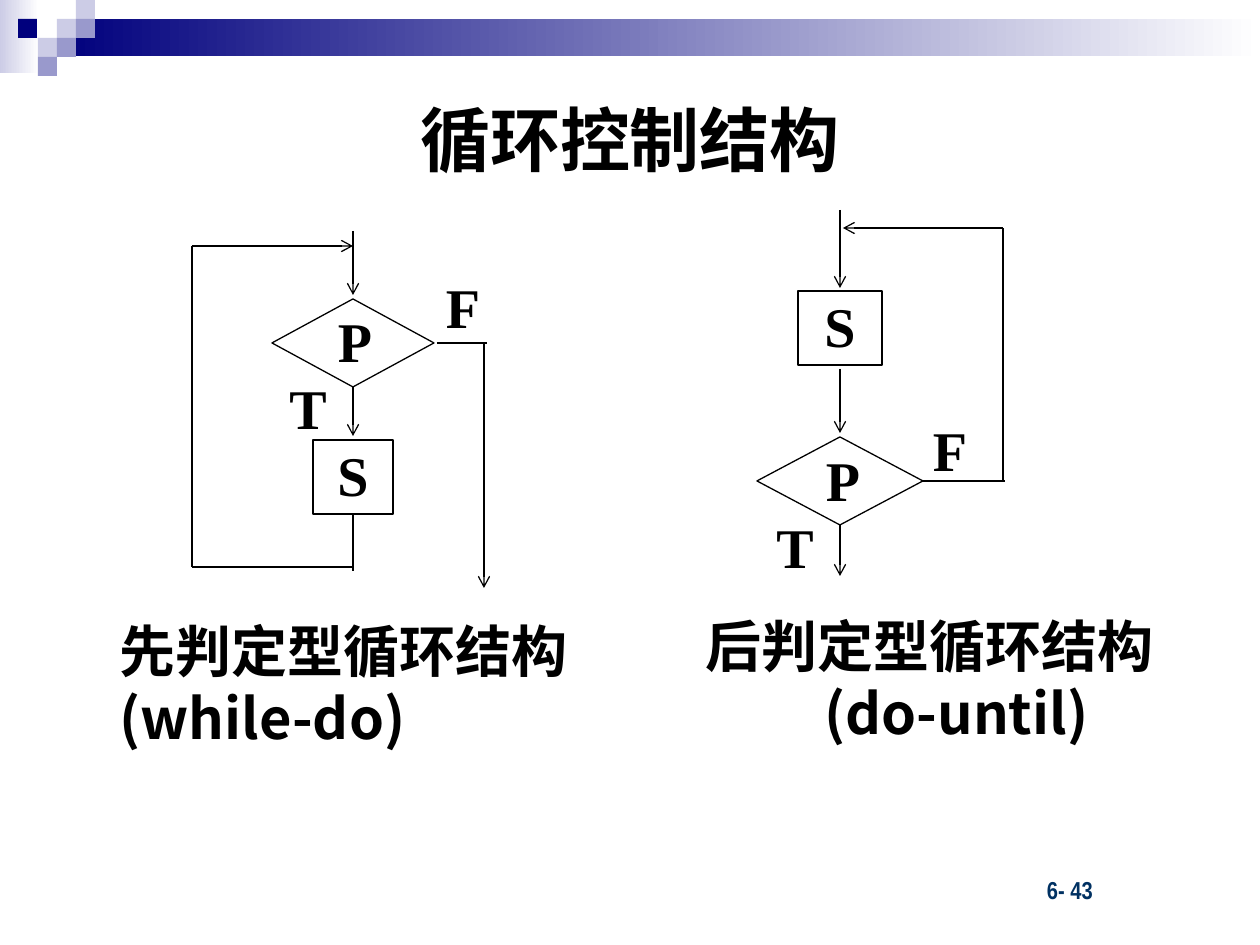
from dataclasses import dataclass
from typing import Optional

from lxml.etree import SubElement
from pptx import Presentation
from pptx.dml.color import RGBColor
from pptx.enum.shapes import MSO_CONNECTOR as Link, MSO_SHAPE as Preset
from pptx.enum.text import MSO_ANCHOR as Anchor, PP_ALIGN as Align
from pptx.oxml.ns import qn
from pptx.util import Emu, Pt

PX_PER_INCH = 126
BLACK = RGBColor(0x00, 0x00, 0x00)
WHITE = RGBColor(0xFF, 0xFF, 0xFF)
NAVY = RGBColor(0x00, 0x00, 0x7D)
LILAC = RGBColor(0xCC, 0xCC, 0xE6)
VIOLET = RGBColor(0x99, 0x99, 0xCC)
PAGE_BLUE = RGBColor(0x00, 0x31, 0x62)
CJK = "Noto Sans CJK SC"
SERIF = "Times New Roman"
BOTTOM, RIGHT = 2, 3


@dataclass(frozen=True)
class Box:
    x: int
    y: int
    w: int
    h: int


@dataclass(frozen=True)
class Bar:
    box: Box
    color: RGBColor
    fades: bool = False


@dataclass(frozen=True)
class Letter:
    text: str
    x: int
    y: int


@dataclass(frozen=True)
class Wire:
    x1: int
    y1: int
    x2: int
    y2: int
    arrow: bool = False
    node: Optional[str] = None  # node at which the wire starts
    side: int = BOTTOM


@dataclass(frozen=True)
class Flowchart:
    decision: Box
    statement: Box
    letters: tuple[Letter, ...]
    wires: tuple[Wire, ...]


@dataclass(frozen=True)
class Caption:
    box: Box
    lines: tuple[str, ...]
    align: Align
    hanging: int


BARS = (
    Bar(Box(0, 0, 39, 73), LILAC, True),
    Bar(Box(57, 19, 1203, 37), NAVY, True),
    Bar(Box(57, 19, 19, 19), LILAC),
    Bar(Box(76, 0, 19, 19), LILAC),
    Bar(Box(76, 19, 19, 19), VIOLET),
    Bar(Box(38, 38, 19, 19), LILAC),
    Bar(Box(18, 19, 19, 19), NAVY),
    Bar(Box(57, 38, 19, 19), VIOLET),
    Bar(Box(38, 57, 19, 19), VIOLET),
)

WHILE_DO = Flowchart(
    decision=Box(272, 299, 162, 88),
    statement=Box(313, 440, 80, 74),
    letters=(Letter("T", 268, 373), Letter("P", 315, 306), Letter("F", 423, 272)),
    wires=(
        Wire(353, 231, 353, 295, arrow=True),
        Wire(353, 387, 353, 436, arrow=True, node="decision"),
        Wire(353, 514, 353, 571, node="statement"),
        Wire(353, 567, 192, 567),
        Wire(192, 567, 192, 246),
        Wire(192, 246, 353, 246, arrow=True),
        Wire(437, 343, 487, 343),
        Wire(484, 343, 484, 588, arrow=True),
    ),
)
DO_UNTIL = Flowchart(
    decision=Box(757, 437, 166, 88),
    statement=Box(798, 291, 84, 74),
    letters=(Letter("T", 753, 512), Letter("P", 801, 445), Letter("F", 908, 415)),
    wires=(
        Wire(840, 210, 840, 288, arrow=True),
        Wire(840, 369, 840, 433, arrow=True),
        Wire(840, 525, 840, 576, arrow=True, node="decision"),
        Wire(923, 481, 1005, 481, node="decision", side=RIGHT),
        Wire(1003, 481, 1003, 228),
        Wire(1003, 228, 843, 228, arrow=True),
    ),
)
CAPTIONS = (
    Caption(Box(106, 610, 513, 79), ("先判定型循环结构", "(while-do)"), Align.LEFT, 67),
    Caption(Box(651, 605, 557, 147), ("后判定型循环结构(do-until)",), Align.CENTER, 54),
)


def px(length: int) -> Emu:
    return Emu(round(length * 914400 / PX_PER_INCH))


def place(box: Box) -> tuple[Emu, ...]:
    return px(box.x), px(box.y), px(box.w), px(box.h)


def write(frame, text: str, size: int, font: str, color=BLACK, align=Align.LEFT,
          inset=(13, 6), anchor=Anchor.TOP) -> None:
    frame.text = text
    frame.word_wrap = True
    frame.vertical_anchor = anchor
    frame.margin_left = frame.margin_right = px(inset[0])
    frame.margin_top = frame.margin_bottom = px(inset[1])
    for paragraph in frame.paragraphs:
        paragraph.alignment = align
        for run in paragraph.runs:
            run.font.size, run.font.bold, run.font.name = Pt(size), True, font
            run.font.color.rgb = color
            SubElement(run.font._element, qn("a:ea")).set("typeface", font)


def draw_bar(slide, bar: Bar) -> None:
    shape = slide.shapes.add_shape(Preset.RECTANGLE, *place(bar.box))
    shape.shadow.inherit = False
    shape.line.fill.background()
    if bar.fades:
        shape.fill.gradient()
        shape.fill.gradient_angle = 0
        for stop, color in zip(shape.fill.gradient_stops, (bar.color, WHITE)):
            stop.color.rgb = color
    else:
        shape.fill.solid()
        shape.fill.fore_color.rgb = bar.color


def draw_node(slide, preset, box: Box):
    node = slide.shapes.add_shape(preset, *place(box))
    node.shadow.inherit = False
    node.fill.background()
    node.line.color.rgb = BLACK
    node.line.width = Pt(0.75)
    return node


def draw_wire(slide, wire: Wire, nodes: dict) -> None:
    line = slide.shapes.add_connector(
        Link.STRAIGHT, px(wire.x1), px(wire.y1), px(wire.x2), px(wire.y2))
    if wire.node:
        line.begin_connect(nodes[wire.node], wire.side)
    line.line.color.rgb = BLACK
    line.line.width = Pt(0.75)
    if wire.arrow:
        SubElement(line.line._get_or_add_ln(), qn("a:tailEnd")).set("type", "arrow")
    SubElement(line._element.spPr, qn("a:effectLst"))


def draw_flowchart(slide, chart: Flowchart) -> None:
    nodes = {
        "decision": draw_node(slide, Preset.DIAMOND, chart.decision),
        "statement": draw_node(slide, Preset.RECTANGLE, chart.statement),
    }
    letter_style = dict(size=32, font=SERIF, align=Align.CENTER, inset=(3, 1))
    write(nodes["statement"].text_frame, "S", **letter_style)
    for letter in chart.letters:
        box = Box(letter.x, letter.y, chart.statement.w, chart.statement.h)
        write(slide.shapes.add_textbox(*place(box)).text_frame, letter.text, **letter_style)
    for wire in chart.wires:
        draw_wire(slide, wire, nodes)


def draw_caption(slide, caption: Caption) -> None:
    frame = slide.shapes.add_textbox(*place(caption.box)).text_frame
    write(frame, "\n".join(caption.lines), 32, CJK, align=caption.align)
    for paragraph in frame.paragraphs:
        properties = paragraph._p.get_or_add_pPr()
        properties.set("marL", str(px(caption.hanging)))
        properties.set("indent", str(-px(caption.hanging)))


def main() -> None:
    deck = Presentation()
    deck.slide_width, deck.slide_height = px(1260), px(945)
    slide = deck.slides.add_slide(deck.slide_layouts[5])

    # Header band and page number
    for bar in BARS:
        draw_bar(slide, bar)
    page = slide.shapes.add_textbox(*place(Box(1034, 869, 145, 42)))
    write(page.text_frame, "6- 43", 14, "Arial Narrow", PAGE_BLUE)

    # Title
    title = slide.shapes.title
    title.left, title.top, title.width, title.height = place(Box(63, 63, 1134, 151))
    write(title.text_frame, "循环控制结构", 40, CJK, align=Align.CENTER, anchor=Anchor.MIDDLE)

    # Two loop structures with their captions
    for chart, caption in zip((WHILE_DO, DO_UNTIL), CAPTIONS):
        draw_flowchart(slide, chart)
        draw_caption(slide, caption)

    deck.save("out.pptx")


if __name__ == "__main__":
    main()
